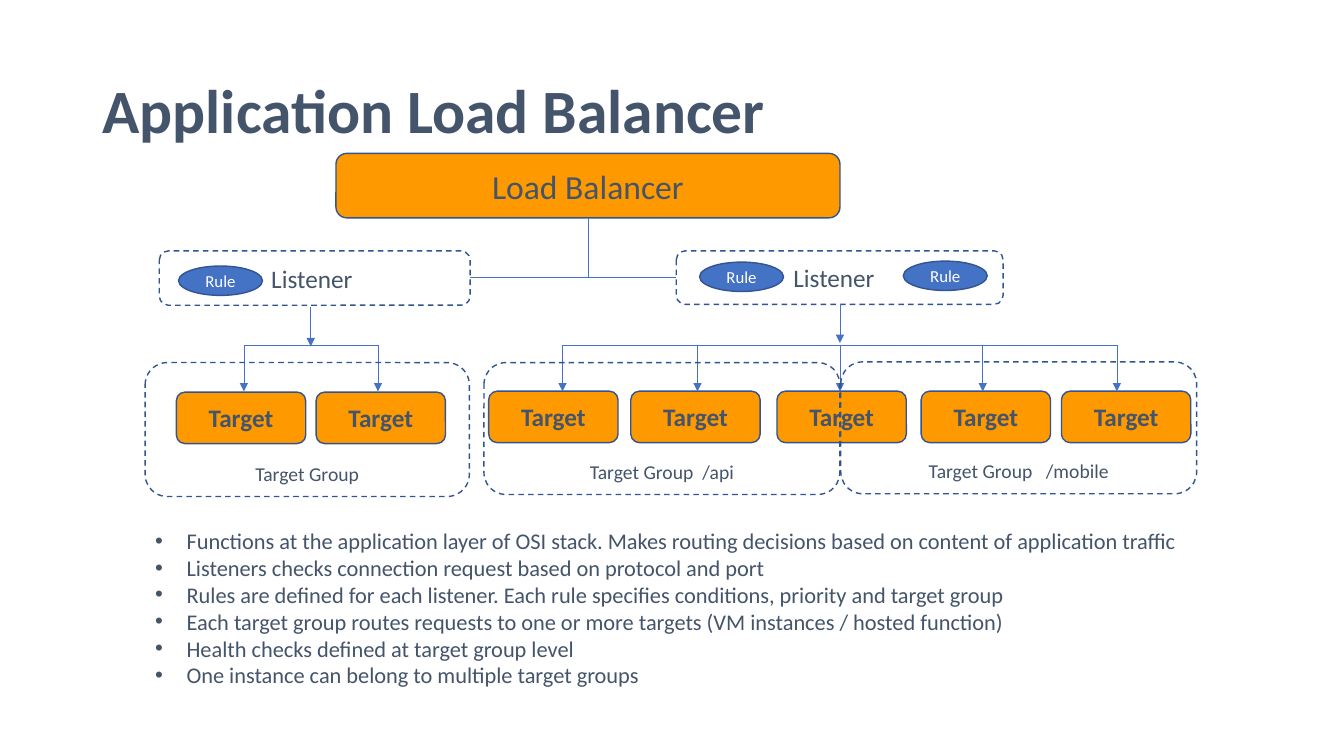
from lxml import etree
from pptx import Presentation
from pptx.dml.color import RGBColor
from pptx.enum import dml, shapes, text
from pptx.oxml.ns import qn
from pptx.util import Pt

TITLE = ("Application Load Balancer", (66.2, 28.8, 828, 104.4))
BALANCER = ("Load Balancer", (240, 109.6, 360, 46))
# label, box, extra right inset
LISTENERS = [
    ("Listener", (113.8, 179.2, 222, 38.8), 4),
    ("Listener", (483.1, 179.2, 233.4, 38.2), 8),
]
RULES = [(127.5, 190), (499.7, 187.2), (645.2, 186.5)]
# listener arrow: x, top, bottom; then target tops, target lefts, arrow xs
ROUTES = [
    ((222, 219, 247.4), 280.1, (126, 225.8), (174.2, 270)),
    ((600, 217, 245), 279.4, (349.1, 450.6, 555, 658, 758.2),
     (401.8, 498.2, 600, 702, 797.8)),
]
# name, path, gap added between them, box
GROUPS = [
    ("Target Group", "", 0, (103.7, 259, 231.6, 95.7)),
    ("Target Group", "/api", 3.2, (345.7, 259, 254.2, 94.2)),
    ("Target Group", "/mobile", 6.4, (600.6, 258.5, 254.2, 94.2)),
]
NOTES = [
    "Functions at the application layer of OSI stack. Makes routing decisions"
    " based on content of application traffic",
    "Listeners checks connection request based on protocol and port",
    "Rules are defined for each listener. Each rule specifies conditions,"
    " priority and target group",
    "Each target group routes requests to one or more targets"
    " (VM instances / hosted function)",
    "Health checks defined at target group level",
    "One instance can belong to multiple target groups",
]
NOTES_BOX = (103.7, 373, 747.4, 143.3)
RULE_SIZE = (60, 21)
TARGET_SIZE = (92.4, 36.8)
BUS_Y, ARROW_END = 246.8, 279.6
TRUNK_X, TRUNK_TOP, TRUNK_BOTTOM = 420, 156, 198

THEME = {
    "font": "Calibri", "ink": "44546A", "orange": "FF9900", "blue": "4472C4",
    "outline": "325491", "white": "FFFFFF",
    "title": 44, "balancer": 24, "label": 18, "note": 16, "group": 14, "rule": 12,
}


def color(name):
    return RGBColor.from_string(THEME[name])


def style(paragraph, size, ink="ink", bold=False):
    formats = {"name": THEME["font"], "size": Pt(THEME[size]), "bold": bold}
    for key, value in formats.items():
        setattr(paragraph.font, key, value)
    paragraph.font.color.rgb = color(ink)


def add_node(slide, kind, box, label, size, fill=None, ink="ink", bold=False,
             dashed=False, anchor=text.MSO_ANCHOR.MIDDLE):
    node = slide.shapes.add_shape(kind, *map(Pt, box))
    node.shadow.inherit = False
    if fill:
        node.fill.solid()
        node.fill.fore_color.rgb = color(fill)
    else:
        node.fill.background()
    node.line.color.rgb = color("outline")
    node.line.width = Pt(1)
    if dashed:
        node.line.dash_style = dml.MSO_LINE.DASH
    frame = node.text_frame
    frame.vertical_anchor = anchor
    frame.word_wrap = True
    paragraph = frame.paragraphs[0]
    paragraph.alignment = text.PP_ALIGN.CENTER
    style(paragraph, size, ink, bold)
    paragraph.add_run().text = label
    return node


def add_line(slide, start, end, arrow=False):
    line = slide.shapes.add_connector(
        shapes.MSO_CONNECTOR.STRAIGHT, *map(Pt, start + end))
    line.line.color.rgb = color("blue")
    line.line.width = Pt(0.5)
    properties = line._element.spPr
    if arrow:
        etree.SubElement(properties.find(qn("a:ln")), qn("a:tailEnd"), type="triangle")
    etree.SubElement(properties, qn("a:effectLst"))


def add_text(slide, box):
    frame = slide.shapes.add_textbox(*map(Pt, box)).text_frame
    frame.word_wrap = True
    return frame


def add_title(slide):
    label, box = TITLE
    frame = add_text(slide, box)
    frame.vertical_anchor = text.MSO_ANCHOR.MIDDLE
    heading = frame.paragraphs[0]
    heading.line_spacing = 0.9
    style(heading, "title", bold=True)
    heading.add_run().text = label


def add_notes(slide):
    frame = add_text(slide, NOTES_BOX)
    for index, note in enumerate(NOTES):
        paragraph = frame.paragraphs[0] if index == 0 else frame.add_paragraph()
        properties = paragraph._p.get_or_add_pPr()
        properties.set("marL", str(Pt(22.5)))
        properties.set("indent", str(-Pt(22.5)))
        etree.SubElement(properties, qn("a:buFont"), typeface="Arial")
        etree.SubElement(properties, qn("a:buChar"), char="•")
        style(paragraph, "note")
        paragraph.add_run().text = note


def add_listeners(slide):
    for label, box, inset in LISTENERS:
        listener = add_node(slide, shapes.MSO_SHAPE.ROUNDED_RECTANGLE, box, label,
                            "label", "white", dashed=True)
        listener.text_frame.margin_right = Pt(7.2 + inset)
    for corner in RULES:
        rule = add_node(slide, shapes.MSO_SHAPE.OVAL, corner + RULE_SIZE, "Rule",
                        "rule", "blue", "white")
        rule.text_frame.word_wrap = False


def add_routes(slide):
    for (x, top, bottom), target_top, lefts, drops in ROUTES:
        for left in lefts:
            add_node(slide, shapes.MSO_SHAPE.ROUNDED_RECTANGLE,
                     (left, target_top) + TARGET_SIZE, "Target", "label",
                     "orange", bold=True)
        add_line(slide, (drops[0], BUS_Y), (drops[-1], BUS_Y))
        for drop in drops:
            add_line(slide, (drop, BUS_Y), (drop, ARROW_END), arrow=True)
        add_line(slide, (x, top), (x, bottom), arrow=True)
    left_box, right_box = (box for _, box, _ in LISTENERS)
    add_line(slide, (left_box[0] + left_box[2], TRUNK_BOTTOM),
             (right_box[0], TRUNK_BOTTOM))
    add_line(slide, (TRUNK_X, TRUNK_TOP), (TRUNK_X, TRUNK_BOTTOM))


def add_groups(slide):
    for name, route, gap, box in GROUPS:
        group = add_node(slide, shapes.MSO_SHAPE.ROUNDED_RECTANGLE, box, name,
                         "group", dashed=True, anchor=text.MSO_ANCHOR.BOTTOM)
        if route:
            paragraph = group.text_frame.paragraphs[0]
            space = paragraph.add_run()
            space.text = " "
            space._r.get_or_add_rPr().set("spc", str(round(gap * 100)))
            paragraph.add_run().text = route


def main():
    deck = Presentation()
    deck.slide_width, deck.slide_height = Pt(960), Pt(540)
    slide = deck.slides.add_slide(deck.slide_layouts[6])
    add_title(slide)
    label, box = BALANCER
    add_node(slide, shapes.MSO_SHAPE.ROUNDED_RECTANGLE, box, label, "balancer", "orange")
    add_listeners(slide)
    add_notes(slide)
    add_routes(slide)
    add_groups(slide)
    deck.save("out.pptx")


if __name__ == "__main__":
    main()
